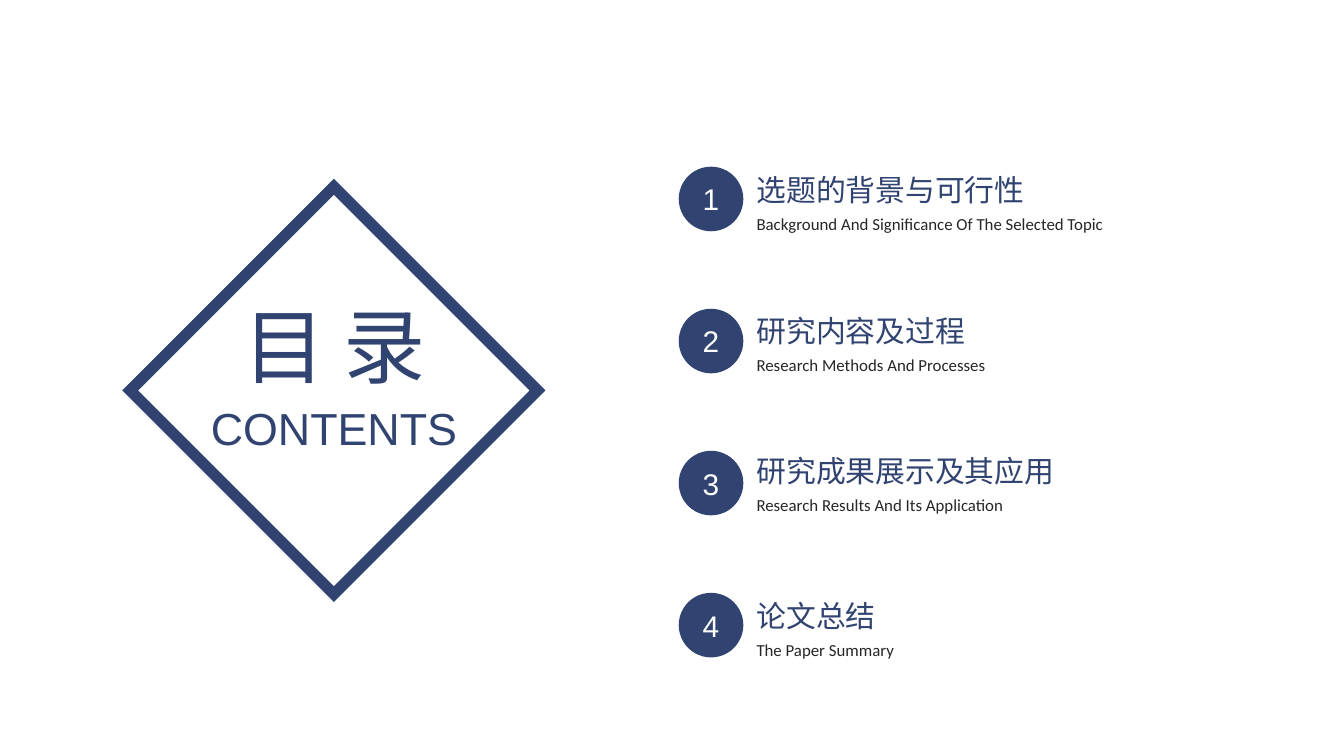
import pptx
import pptx.dml.color
import pptx.enum.shapes
import pptx.enum.text
import pptx.oxml
import pptx.oxml.ns
import pptx.util

Pt = pptx.util.Pt
MSO_SHAPE = pptx.enum.shapes.MSO_SHAPE
ALIGN = pptx.enum.text.PP_ALIGN
ANCHOR = pptx.enum.text.MSO_ANCHOR

NAVY, DARK, WHITE = "304371", "262626", "FFFFFF"
CJK, LATIN, BODY = "Noto Sans CJK SC", "Arial", "Calibri"

TITLE, SUBTITLE = "目 录", "CONTENTS"
# heading, translation, heading top, translation width
CHAPTERS = [
    ("选题的背景与可行性", "Background And Significance Of The Selected Topic", 88.6, 201.6),
    ("研究内容及过程", "Research Methods And Processes", 164.2, 137.5),
    ("研究成果展示及其应用", "Research Results And Its Application", 239, 146.9),
    ("论文总结", "The Paper Summary", 316.8, 88.6),
]

BADGE_LEFT, BADGE_TOP, BADGE_SIZE, BADGE_PITCH = 363.6, 89.3, 34.6, 76.1
TEXT_LEFT = 398.2
HEADING_SIZE, HEADING_PADDING = 16, 15
TRANSLATION_OFFSET = 22.3


def color(hex_string):
    return pptx.dml.color.RGBColor.from_string(hex_string)


def place(shape, left, top, width, height):
    shape.left, shape.top = Pt(left), Pt(top)
    shape.width, shape.height = Pt(width), Pt(height)


def write(shape, text, size, font, fill, align=ALIGN.LEFT, anchor=ANCHOR.TOP):
    frame = shape.text_frame
    frame.word_wrap = False
    frame.auto_size = pptx.enum.text.MSO_AUTO_SIZE.NONE
    frame.vertical_anchor = anchor
    paragraph = frame.paragraphs[0]
    paragraph.alignment = align
    run = paragraph.add_run()
    run.text = text
    run.font.size = Pt(size)
    run.font.name = font
    run.font.color.rgb = color(fill)
    east_asian = pptx.oxml.parse_xml(
        f'<a:ea {pptx.oxml.ns.nsdecls("a")} typeface="{font}"/>')
    run.font._element.find(pptx.oxml.ns.qn("a:latin")).addnext(east_asian)


def add_text(slide, text, box, **style):
    label = slide.shapes.add_textbox(*map(Pt, box))
    write(label, text, **style)


def add_diamond(slide, box):
    diamond = slide.shapes.add_shape(MSO_SHAPE.DIAMOND, *map(Pt, box))
    diamond.shadow.inherit = False
    diamond.fill.background()
    diamond.line.color.rgb = color(NAVY)
    diamond.line.width = Pt(6)
    miter = pptx.oxml.parse_xml(
        f'<a:miter {pptx.oxml.ns.nsdecls("a")} lim="800000"/>')
    diamond.line._get_or_add_ln().append(miter)


def add_badge(slide, number):
    top = BADGE_TOP + (number - 1) * BADGE_PITCH
    badge = slide.shapes.add_shape(
        MSO_SHAPE.OVAL, *map(Pt, (BADGE_LEFT, top, BADGE_SIZE, BADGE_SIZE)))
    badge.shadow.inherit = False
    badge.fill.solid()
    badge.fill.fore_color.rgb = color(NAVY)
    badge.line.fill.background()
    write(badge, str(number), size=16, font=LATIN, fill=WHITE,
          align=ALIGN.CENTER, anchor=ANCHOR.MIDDLE)


def main():
    deck = pptx.Presentation()
    deck.slide_width, deck.slide_height = Pt(720), Pt(405)
    slide = deck.slides.add_slide(deck.slide_layouts[5])

    add_diamond(slide, (69.8, 100.1, 218.2, 218.2))
    title = slide.shapes.title
    place(title, 121, 154.8, 116.6, 60.5)
    write(title, TITLE, size=44, font=CJK, fill=NAVY, align=ALIGN.CENTER)
    add_text(slide, SUBTITLE, (105.1, 211, 147.6, 36),
             size=24, font=LATIN, fill=NAVY, align=ALIGN.CENTER)

    for number, (heading, translation, top, width) in enumerate(CHAPTERS, 1):
        add_badge(slide, number)
        heading_width = HEADING_SIZE * len(heading) + HEADING_PADDING
        add_text(slide, heading, (TEXT_LEFT, top, heading_width, 26.6),
                 size=HEADING_SIZE, font=CJK, fill=NAVY)
        add_text(slide, translation,
                 (TEXT_LEFT, top + TRANSLATION_OFFSET, width, 18),
                 size=9, font=BODY, fill=DARK)

    deck.save("out.pptx")


if __name__ == "__main__":
    main()
